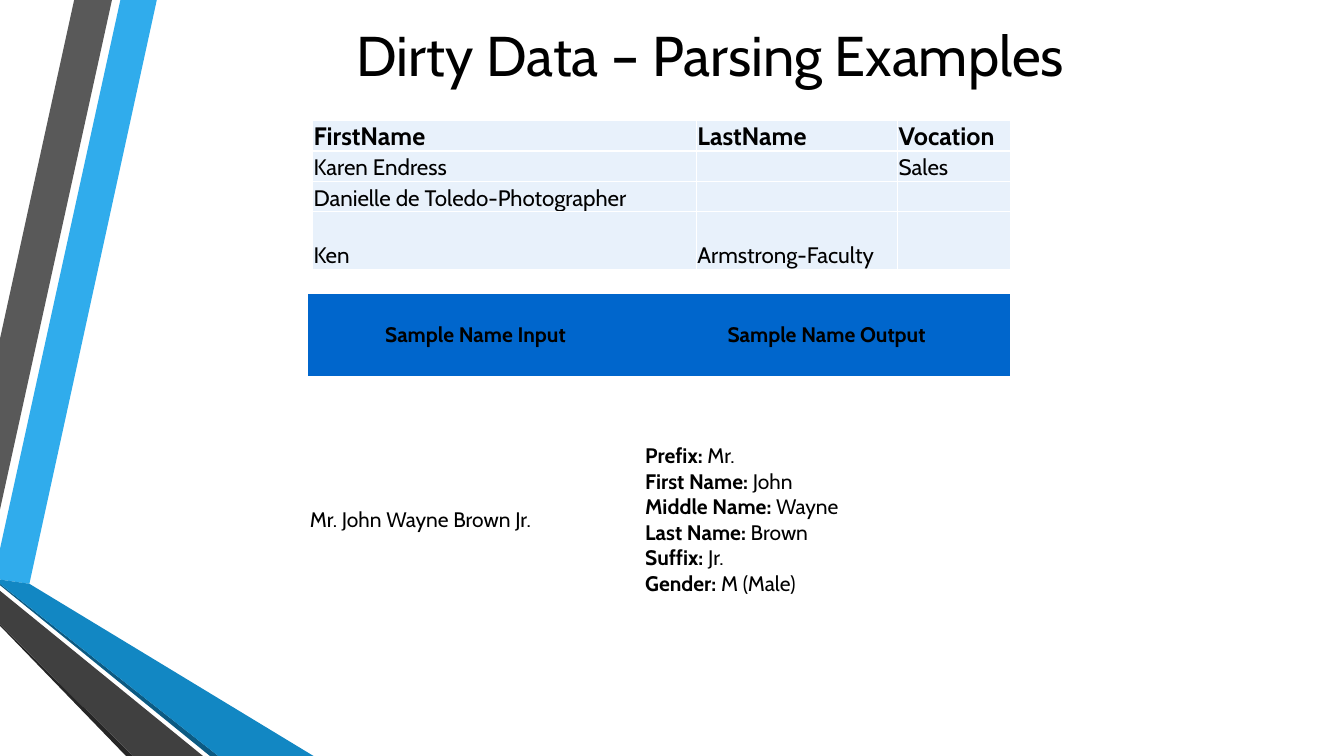
import pptx
import pptx.dml.color
import pptx.enum.text
import pptx.oxml.ns
import pptx.util
from lxml import etree

Pt = pptx.util.Pt
RGBColor = pptx.dml.color.RGBColor
ANCHOR = pptx.enum.text.MSO_ANCHOR
ALIGN = pptx.enum.text.PP_ALIGN
qn = pptx.oxml.ns.qn

BLACK = RGBColor(0x00, 0x00, 0x00)
WHITE = RGBColor(0xFF, 0xFF, 0xFF)
HEADER_BLUE = RGBColor(0x00, 0x66, 0xCC)
PALE_BLUE = RGBColor(0xE8, 0xF1, 0xFB)
SKY = RGBColor(0x30, 0xAC, 0xEC)
OCEAN = RGBColor(0x12, 0x87, 0xC3)
DEEP_OCEAN = RGBColor(0x0C, 0x5A, 0x82)
GREY = RGBColor(0x59, 0x59, 0x59)
DARK_GREY = RGBColor(0x40, 0x40, 0x40)
CHARCOAL = RGBColor(0x26, 0x26, 0x26)

FONT = "Cabin"
NO_STYLE = "{2D5ABB26-0587-4C30-8999-92F81FD0307C}"

RIBBONS = [
    (SKY, [(0, 391.7), (0, 414), (20.9, 416.9), (112.3, 0), (85.7, 0)]),
    (GREY, [(79.9, 0), (53.3, 0), (0, 241.9), (0, 364.3)]),
    (CHARCOAL, [(0, 445.7), (0, 447.1), (90, 540), (95, 540)]),
    (DEEP_OCEAN, [(0, 416.9), (0, 417.6), (150.5, 540), (156.2, 540)]),
    (OCEAN, [(0, 416.9), (156.2, 540), (223.9, 540), (20.9, 416.9), (0, 414)]),
    (DARK_GREY, [(0, 445.7), (95, 540), (144.7, 540), (0, 421.9)]),
]

CONTACTS = [
    ["FirstName", "LastName", "Vocation"],
    ["Karen Endress", "", "Sales"],
    ["Danielle de Toledo-Photographer", "", ""],
    ["Ken", "Armstrong-Faculty", ""],
]

NAME_PARTS = [
    ("Prefix:", "Mr."),
    ("First Name:", "John"),
    ("Middle Name:", "Wayne"),
    ("Last Name:", "Brown"),
    ("Suffix:", "Jr."),
    ("Gender:", "M (Male)"),
]


def apply(target, values):
    """Set each named attribute of the target."""
    for name, value in values.items():
        setattr(target, name, value)


def add_span(para, text, size, bold=False):
    """Add one run of black text to a paragraph."""
    span = para.add_run()
    span.text = text
    apply(span.font, {"name": FONT, "size": Pt(size), "bold": bold})
    span.font.color.rgb = BLACK


def add_ribbon(page, color, points):
    """Draw one closed, filled outline."""
    builder = page.shapes.build_freeform(*points[0], scale=Pt(1))
    builder.add_line_segments(points[1:], close=True)
    ribbon = builder.convert_to_shape()
    ribbon.shadow.inherit = False
    ribbon.fill.solid()
    ribbon.fill.fore_color.rgb = color
    ribbon.line.fill.background()


def add_title(page, text):
    """Add the centred title."""
    box = page.shapes.add_textbox(Pt(103), Pt(0), Pt(808.6), Pt(77.8))
    apply(box.text_frame, {"word_wrap": True, "vertical_anchor": ANCHOR.MIDDLE})
    para = box.text_frame.paragraphs[0]
    para.alignment = ALIGN.CENTER
    add_span(para, text, 40)


def add_plain_table(page, left, top, widths, heights):
    """Add a table without a banded style and return it."""
    frame = page.shapes.add_table(
        len(heights), len(widths), Pt(left), Pt(top), Pt(sum(widths)), Pt(sum(heights)))
    table = frame.table
    apply(table, {"first_row": False, "horz_banding": False})
    frame._element.find(".//" + qn("a:tableStyleId")).text = NO_STYLE
    for column, width in zip(table.columns, widths):
        column.width = Pt(width)
    for row, height in zip(table.rows, heights):
        row.height = Pt(height)
    return table


def add_borders(cell, color):
    """Give a cell one-point borders on all sides."""
    properties = cell._tc.get_or_add_tcPr()
    for side in ("a:lnL", "a:lnR", "a:lnT", "a:lnB"):
        line = etree.SubElement(properties, qn(side), w=str(Pt(1)))
        fill = etree.SubElement(line, qn("a:solidFill"))
        etree.SubElement(fill, qn("a:srgbClr"), val=str(color))


def format_cell(cell, color, anchor, margin, bottom):
    """Set the fill, anchor and margins of a cell."""
    apply(cell, {
        "vertical_anchor": anchor,
        "margin_left": Pt(margin),
        "margin_right": Pt(margin),
        "margin_top": Pt(margin),
        "margin_bottom": Pt(bottom),
    })
    cell.fill.solid()
    cell.fill.fore_color.rgb = color


def add_name_table(page):
    """Add the table of a sample name and its parsed parts."""
    table = add_plain_table(page, 219.9, 210.2, [239.5, 262.1], [58.3, 206])
    for cell in table.iter_cells():
        format_cell(cell, WHITE, ANCHOR.MIDDLE, 1.5, 1.5)
    for column, heading in enumerate(["Sample Name Input", "Sample Name Output"]):
        cell = table.cell(0, column)
        cell.fill.fore_color.rgb = HEADER_BLUE
        para = cell.text_frame.paragraphs[0]
        para.alignment = ALIGN.CENTER
        add_span(para, heading, 15, True)
    add_span(table.cell(1, 0).text_frame.paragraphs[0], "Mr. John Wayne Brown Jr.", 15)
    frame = table.cell(1, 1).text_frame
    for index, (label, value) in enumerate(NAME_PARTS):
        para = frame.add_paragraph() if index else frame.paragraphs[0]
        add_span(para, label, 15, True)
        add_span(para, " " + value, 15)


def add_contact_table(page):
    """Add the table of contacts with misplaced values."""
    table = add_plain_table(page, 223.4, 85.7, [274.2, 143.7, 80.4], [21.7, 21.7, 21.7, 41])
    for row, texts in enumerate(CONTACTS):
        size = 16 if row else 18
        for column, text in enumerate(texts):
            cell = table.cell(row, column)
            add_borders(cell, WHITE)
            format_cell(cell, PALE_BLUE, ANCHOR.BOTTOM, 0.6, 0)
            para = cell.text_frame.paragraphs[0]
            if text:
                add_span(para, text, size, row == 0)
            else:
                etree.SubElement(para._p, qn("a:endParaRPr"), sz=str(size * 100))


def main():
    """Build the slide and save the deck."""
    deck = pptx.Presentation()
    apply(deck, {"slide_width": Pt(960), "slide_height": Pt(540)})
    page = deck.slides.add_slide(deck.slide_layouts[6])
    for color, points in RIBBONS:
        add_ribbon(page, color, points)
    add_title(page, "Dirty Data – Parsing Examples")
    add_name_table(page)
    add_contact_table(page)
    deck.save("out.pptx")


if __name__ == "__main__":
    main()
